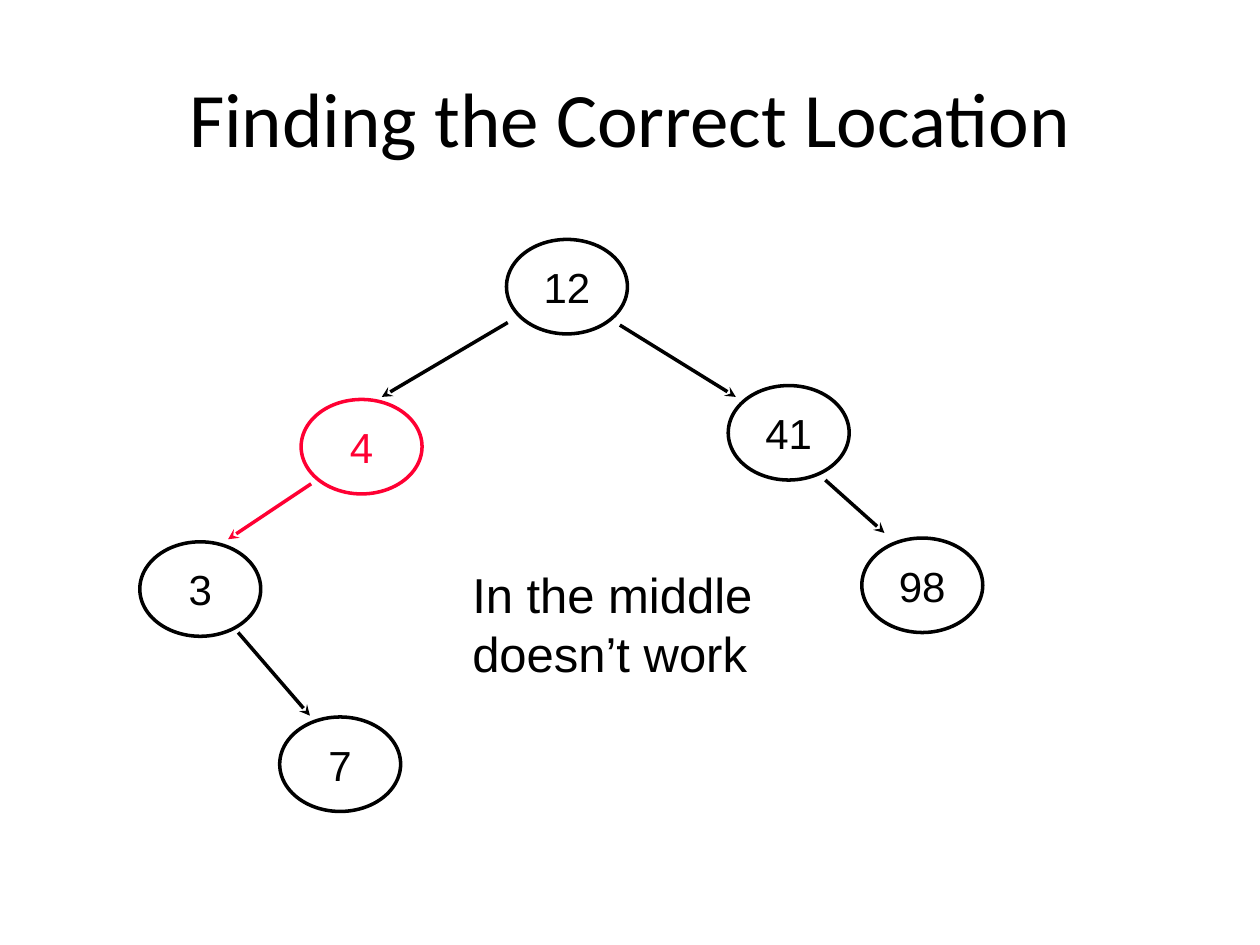
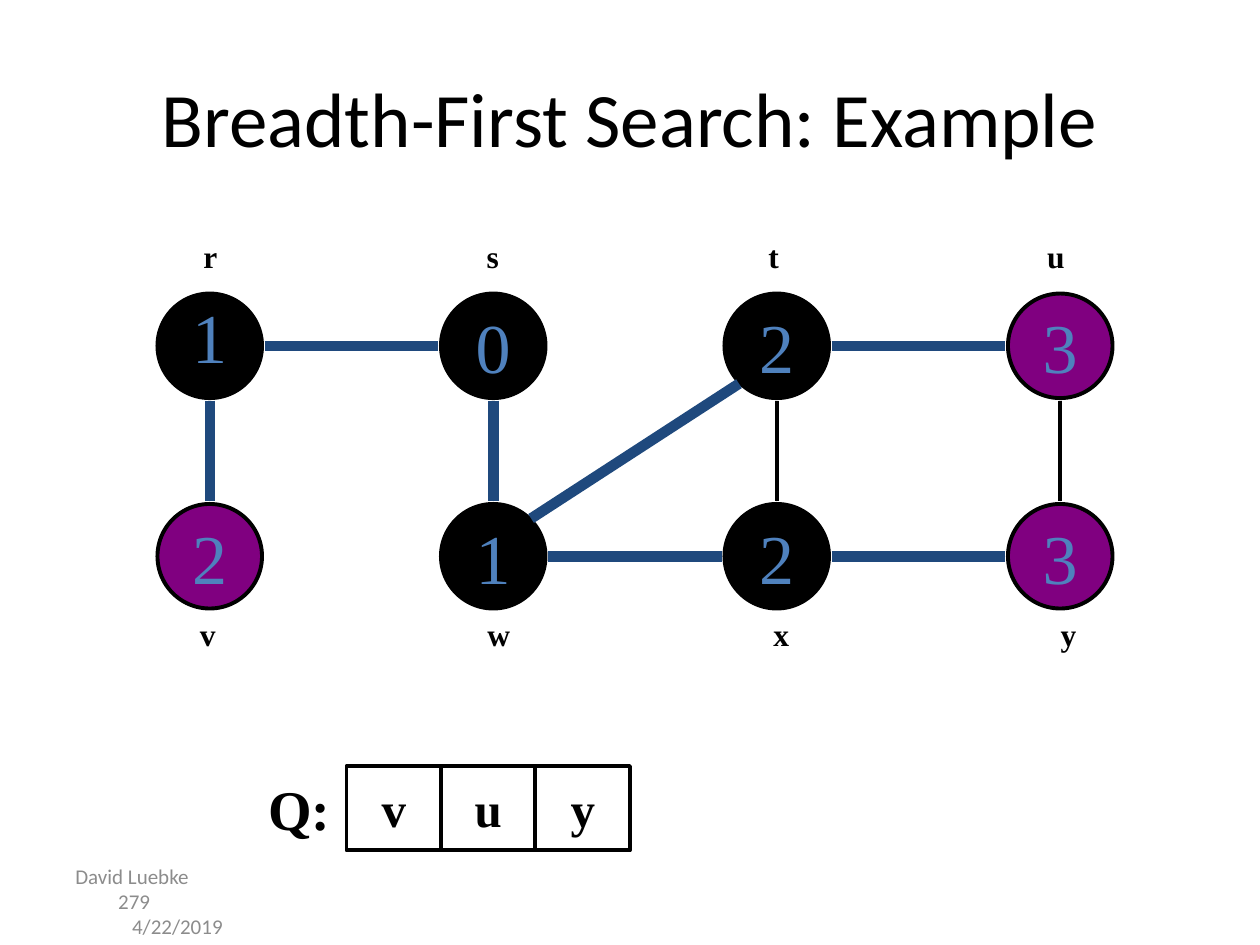
from lxml import etree
from pptx import Presentation
from pptx import util as u
from pptx.dml.color import RGBColor
from pptx.enum import shapes, text
from pptx.oxml.ns import qn

COLOURS = {"black": "000000", "red": "FF0033", "purple": "800080",
           "digit": "4F81BD", "path": "1F497D", "footer": "8C8C8C"}
SANS, SERIF, HEADING = "Arial", "Times New Roman", "Calibri"
CENTER, LEFT = text.PP_ALIGN.CENTER, text.PP_ALIGN.LEFT
MIDDLE, TOP = text.MSO_ANCHOR.MIDDLE, text.MSO_ANCHOR.TOP
OVAL, BOX = shapes.MSO_SHAPE.OVAL, shapes.MSO_SHAPE.RECTANGLE


class Deck:
    """Holds the shared style and the current slide."""

    def __init__(self):
        self.prs = Presentation()
        self.prs.slide_width, self.prs.slide_height = u.Inches(10), u.Inches(7.5)
        self.slide = None

    def colour(self, name):
        return RGBColor.from_string(COLOURS[name])

    def inches(self, values):
        return [u.Inches(value) for value in values]

    def add_words(self, paragraph, lines, size, font, colour="black", bold=False, align=CENTER):
        paragraph.alignment = align
        for number, line in enumerate(lines.split("\n")):
            if number:
                paragraph.add_line_break()
            run = paragraph.add_run()
            run.text = line
            run.font.size, run.font.name, run.font.bold = u.Pt(size), font, bold
            run.font.color.rgb = self.colour(colour)

    def start(self, title):
        self.slide = self.prs.slides.add_slide(self.prs.slide_layouts[5])
        heading = self.slide.shapes.title
        heading.left, heading.top, heading.width, heading.height = self.inches((0.5, 0.3, 9, 1.25))
        heading.text_frame.vertical_anchor = MIDDLE
        self.add_words(heading.text_frame.paragraphs[0], title, 44, HEADING)

    def label(self, at, words, size, font, bold=False, align=CENTER, anchor=TOP):
        frame = self.slide.shapes.add_textbox(*self.inches(at)).text_frame
        frame.word_wrap = False
        frame.vertical_anchor = anchor
        self.add_words(frame.paragraphs[0], words, size, font, bold=bold, align=align)

    def shape(self, kind, at, words, size, font, line="black", width=2.25, fill=None,
              ink="black", bold=False, spacing=None):
        item = self.slide.shapes.add_shape(kind, *self.inches(at))
        item.shadow.inherit = False
        if fill:
            item.fill.solid()
            item.fill.fore_color.rgb = self.colour(fill)
        else:
            item.fill.background()
        item.line.color.rgb, item.line.width = self.colour(line), u.Pt(width)
        frame = item.text_frame
        frame.word_wrap, frame.vertical_anchor = False, MIDDLE
        self.add_words(frame.paragraphs[0], words, size, font, ink, bold)
        if spacing:
            frame.paragraphs[0].line_spacing = spacing

    def line(self, start, end, colour="black", width=2.0, arrow=False):
        edge = self.slide.shapes.add_connector(
            shapes.MSO_CONNECTOR.STRAIGHT, *self.inches((*start, *end)))
        edge.line.color.rgb, edge.line.width = self.colour(colour), u.Pt(width)
        properties = edge._element.spPr
        if arrow:
            etree.SubElement(properties.find(qn("a:ln")), qn("a:tailEnd"), type="stealth")
        etree.SubElement(properties, qn("a:effectLst"))

    def footer(self, at, parts):
        frame = self.slide.shapes.add_textbox(*self.inches(at)).text_frame
        frame.word_wrap, frame.vertical_anchor = True, MIDDLE
        for number, (words, indent) in enumerate(parts):
            paragraph = frame.add_paragraph() if number else frame.paragraphs[0]
            paragraph._p.get_or_add_pPr().set("marL", str(u.Inches(indent)))
            self.add_words(paragraph, words, 12, HEADING, "footer", align=LEFT)


def build_tree(deck):
    deck.start("Finding the Correct Location")
    for key, left, top, colour in [
            ("12", 4.02, 1.9, "black"), ("4", 2.39, 3.17, "red"), ("41", 5.78, 3.06, "black"),
            ("3", 1.11, 4.3, "black"), ("98", 6.84, 4.27, "black"), ("7", 2.22, 5.69, "black")]:
        deck.shape(OVAL, (left, top, 0.96, 0.75), key, 24, SANS, colour, 2, ink=colour)
    for parent, child, colour in [
            ((4.03, 2.56), (3.03, 3.15), "black"), ((4.92, 2.58), (5.84, 3.15), "black"),
            ((2.47, 3.84), (1.81, 4.28), "red"), ((6.55, 3.81), (7.02, 4.23), "black"),
            ((1.89, 5.02), (2.46, 5.68), "black")]:
        deck.line(parent, child, colour, arrow=True)
    deck.label((3.65, 4.43, 2.6, 1.03), "In the middle\ndoesn’t work", 28, SANS, align=LEFT)


def build_search(deck):
    deck.start("Breadth-First Search: Example")
    deck.footer((0.5, 6.95, 2.33, 0.4),
                [("David Luebke", 0), ("279", 0.34), ("4/22/2019", 0.45)])
    diameter, queue = 0.83, "vuy"
    distances = {"r": 1, "s": 0, "t": 2, "u": 3, "v": 2, "w": 1, "x": 2, "y": 3}
    name_centres = [1.67, 3.91, 6.14, 8.38, 1.65, 3.94, 6.2, 8.48]
    centres = {}
    for index, (vertex, distance) in enumerate(distances.items()):
        row, column = divmod(index, 4)
        left, top = 1.25 + 2.25 * column, (2.33, 4)[row]
        centres[vertex] = left + diameter / 2, top + diameter / 2
        deck.shape(OVAL, (left, top, diameter, diameter), str(distance), 40, SERIF,
                   fill="purple" if vertex in queue else "black", ink="digit",
                   spacing=0.7 if vertex == "r" else None)
        deck.label((name_centres[index] - 0.17, (1.83, 4.83)[row], 0.34, 0.43),
                   vertex, 18, SERIF, bold=True)

    for start, end in ["rv", "rs", "sw", "wt", "wx", "tx", "tu", "xy", "uy"]:
        (x1, y1), (x2, y2) = centres[start], centres[end]
        step_x, step_y = (x2 > x1) - (x2 < x1), (y2 > y1) - (y2 < y1)
        reach = 0.3 if step_x and step_y else diameter / 2 + 0.02
        on_path = start + end not in ("tx", "uy")
        deck.line((x1 + reach * step_x, y1 + reach * step_y),
                  (x2 - reach * step_x, y2 - reach * step_y),
                  "path" if on_path else "black", 6 if on_path else 2.25)

    cell = 0.75
    deck.label((2, 6.08, cell, 0.67), "Q:", 32, SERIF, bold=True, anchor=MIDDLE)
    for place, vertex in enumerate(queue):
        deck.shape(BOX, (2.75 + cell * place, 6.08, cell, 0.67), vertex, 28, SERIF, bold=True)


def main():
    deck = Deck()
    build_tree(deck)
    build_search(deck)
    deck.prs.save("out.pptx")


if __name__ == "__main__":
    main()
